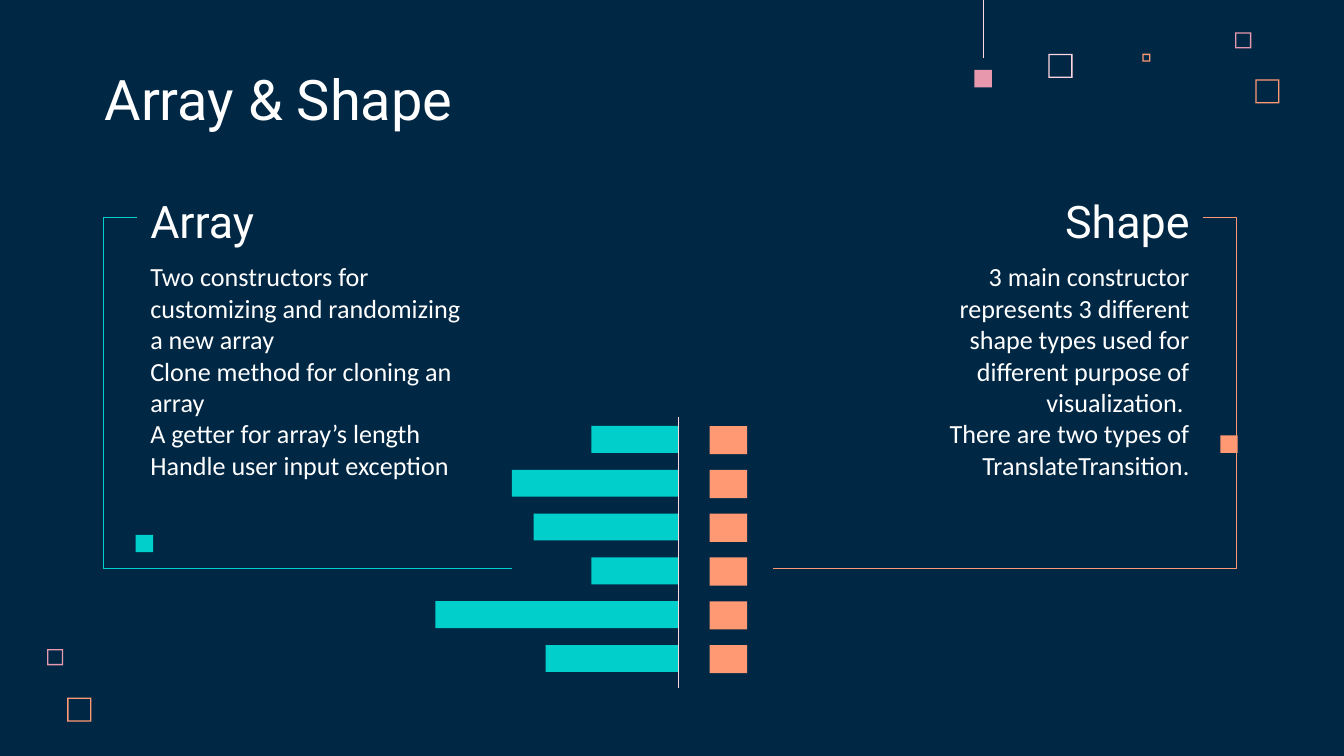
from lxml import etree
from pptx import Presentation
from pptx.dml.color import RGBColor
from pptx.enum import shapes, text
from pptx.oxml import ns
from pptx.util import Inches, Pt

COLORS = {"navy": "002845", "white": "FFFFFF", "teal": "00CFCC",
          "orange": "FF9973", "rose": "E898AC", "blush": "FFD6E1"}


def rgb(name):
    """Return the named colour."""
    return RGBColor.from_string(COLORS[name])


def block(s, x, y, w, h, color, border=0):
    """Draw a solid rectangle, or a frame when a border width is given."""
    kind = shapes.MSO_SHAPE.FRAME if border else shapes.MSO_SHAPE.RECTANGLE
    sp = s.shapes.add_shape(kind, Inches(x), Inches(y), Inches(w), Inches(h))
    if border:
        sp.adjustments[0] = border / min(w, h)
    sp.shadow.inherit = False
    sp.fill.solid()
    sp.fill.fore_color.rgb = rgb(color)
    sp.line.fill.background()


def line(s, x1, y1, x2, y2, color, width=0.75, adj=None):
    """Draw a straight connector, or an elbow when an adjustment is given."""
    kind = shapes.MSO_CONNECTOR
    kind = kind.STRAIGHT if adj is None else kind.ELBOW
    c = s.shapes.add_connector(kind, Inches(x1), Inches(y1), Inches(x2), Inches(y2))
    c.line.color.rgb = rgb(color)
    c.line.width = Pt(width)
    pr = c.element.spPr
    if adj is not None:
        guides = pr.find(ns.qn("a:prstGeom")).get_or_add_avLst()
        etree.SubElement(guides, ns.qn("a:gd"), name="adj1",
                         fmla=f"val {round(adj * 100000)}")
    etree.SubElement(pr, ns.qn("a:effectLst"))


def write(s, box, paragraphs, size, font, right=False, bottom=False, indent=None):
    """Write paragraphs into a text box."""
    sp = s.shapes.add_textbox(*(Inches(v) for v in box))
    tf = sp.text_frame
    tf.word_wrap = True
    tf.margin_left = tf.margin_right = Inches(0.1)
    tf.margin_top = tf.margin_bottom = Inches(0.1)
    anchor = text.MSO_ANCHOR
    tf.vertical_anchor = anchor.BOTTOM if bottom else anchor.TOP
    for i, lines in enumerate(paragraphs):
        p = tf.paragraphs[0] if i == 0 else tf.add_paragraph()
        p.alignment = text.PP_ALIGN.RIGHT if right else text.PP_ALIGN.LEFT
        if indent:
            pr = p._p.get_or_add_pPr()
            pr.set("marL", str(Inches(indent[0])))
            pr.set("indent", str(Inches(indent[1])))
        for j, words in enumerate(lines.split("\n")):
            if j:
                p.add_line_break()
            r = p.add_run()
            r.text = words
            r.font.size = Pt(size)
            r.font.name = font
            r.font.color.rgb = rgb("white")


def corner_squares(s, x, y, squares):
    """Scatter small frames from a corner point."""
    for dx, dy, size, color in squares:
        block(s, x + dx, y + dy, size, size, color, 0.01)


def pendant(s, x, y, drop):
    """Hang a square below a thin thread."""
    line(s, x, y, x, y + drop, "blush", 0.5)
    block(s, x - 0.07, y + drop + 0.09, 0.13, 0.13, "rose")


def panel(s, box, heading, body, color, marker, right=False, indent=None):
    """Draw a bracketed panel with its heading, body and marker."""
    x, y, w, h = box
    inset, head_w, body_w = 0.25, 1.24, 2.64
    inner = x + w - inset if right else x + inset
    end = x if right else x + w

    def left(width):
        """Return the left edge of a text box of this width."""
        return inner - width if right else inner

    write(s, (left(head_w), y - 0.31, head_w, 0.63), [heading], 24, "Roboto",
          right, bottom=True)
    write(s, (left(body_w), y + 0.22, body_w, 1.22), body, 14, "Calibri",
          right, indent=indent)
    line(s, inner, y, end, y + h, color, adj=-inset / (w - inset))
    block(s, x + marker[0], y + marker[1], 0.13, 0.13, color)


def bar_diagram(s, box, lengths):
    """Draw horizontal bars to the left of an axis and boxes to its right."""
    x, y, w, h = box
    axis = x + max(lengths)
    pitch = (h - 0.39) / (len(lengths) - 1)
    for i, length in enumerate(lengths):
        top = y + 0.07 + i * pitch
        block(s, axis - length, top, length, 0.2, "teal")
        block(s, x + w - 0.28, top, 0.28, 0.21, "orange")
    line(s, axis, y, axis, y + h, "blush")


def main():
    """Build the slide."""
    prs = Presentation()
    prs.slide_width = Inches(10)
    prs.slide_height = prs.slide_width * 9 // 16
    s = prs.slides.add_slide(prs.slide_layouts[6])
    s.background.fill.solid()
    s.background.fill.fore_color.rgb = rgb("navy")

    corner_squares(s, 7.8, 0.24, [
        (0, 0.16, 0.18, "blush"), (1.39, 0, 0.12, "rose"),
        (0.7, 0.16, 0.06, "orange"), (1.54, 0.35, 0.18, "orange")])
    corner_squares(s, 0.35, 4.83, [
        (0, 0, 0.12, "rose"), (0.15, 0.36, 0.18, "orange")])
    pendant(s, 7.32, 0, 0.43)

    write(s, (0.68, 0.45, 6.73, 0.63), ["Array & Shape"], 30, "Roboto", bottom=True)
    bar_diagram(s, (3.24, 3.1, 2.32, 2.02), [0.65, 1.24, 1.08, 0.65, 1.81, 0.99])
    panel(s, (0.77, 1.62, 3.04, 2.61), "Array", [
        "Two constructors for customizing and randomizing a new array",
        "Clone method for cloning an array",
        "A getter for array’s length",
        "Handle user input exception"], "teal", (0.24, 2.36))
    panel(s, (5.75, 1.62, 3.45, 2.61), "Shape", [
        "3 main constructor represents 3 different shape types used for "
        "different purpose of visualization. \n"
        "There are two types of TranslateTransition."],
        "orange", (3.33, 1.62), right=True, indent=(0.5, -0.38))
    prs.save("out.pptx")


if __name__ == "__main__":
    main()
